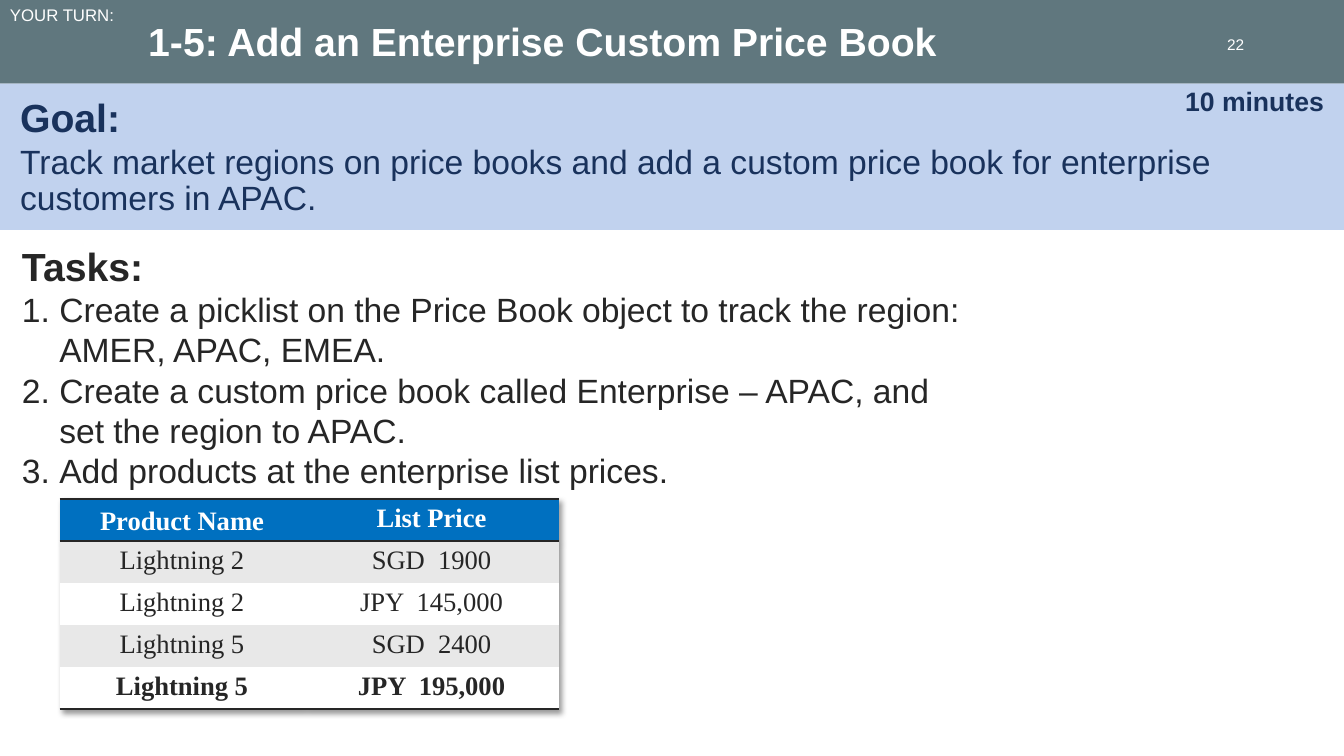
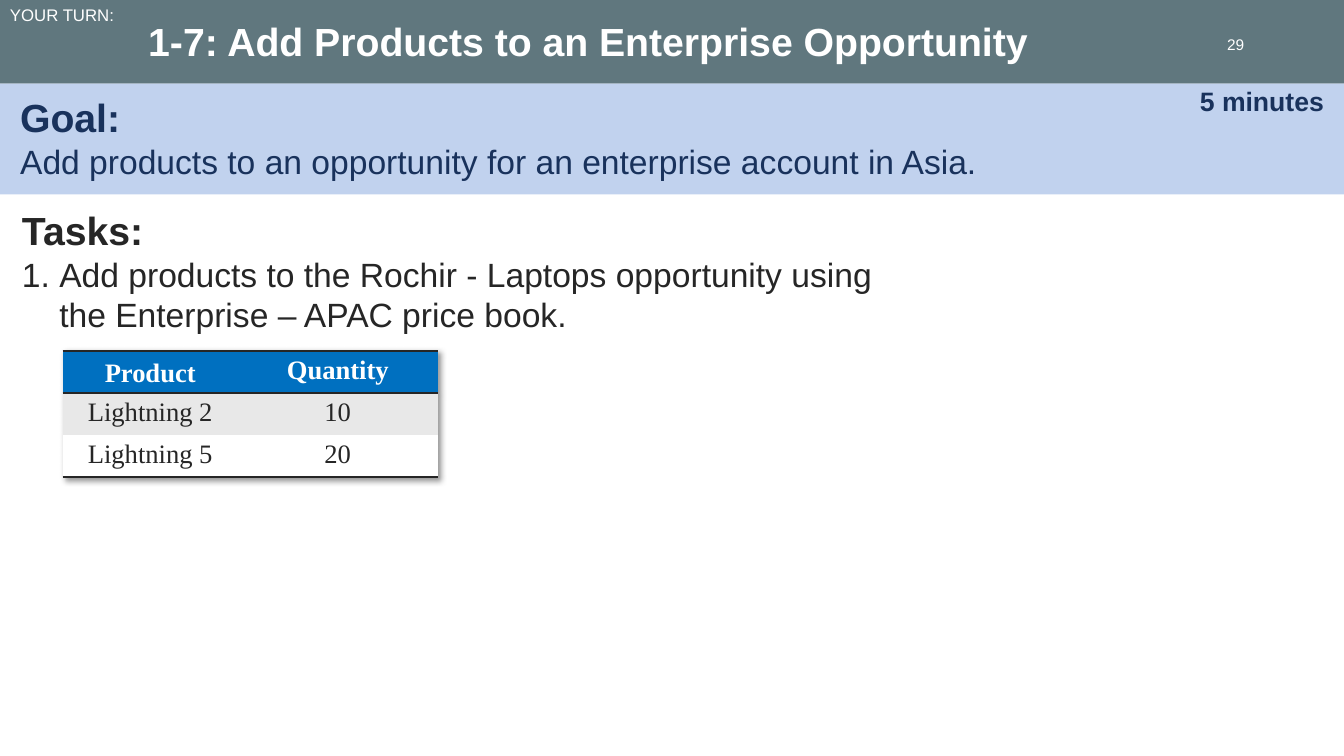
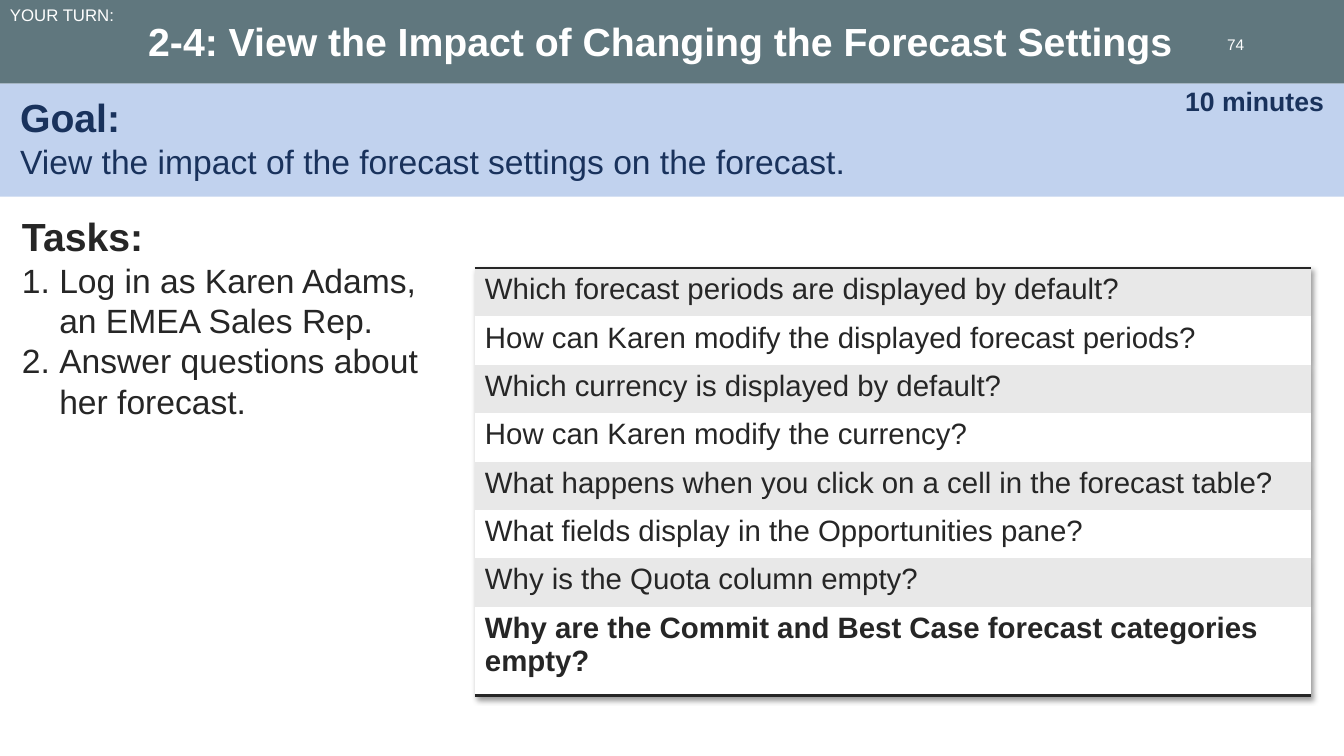
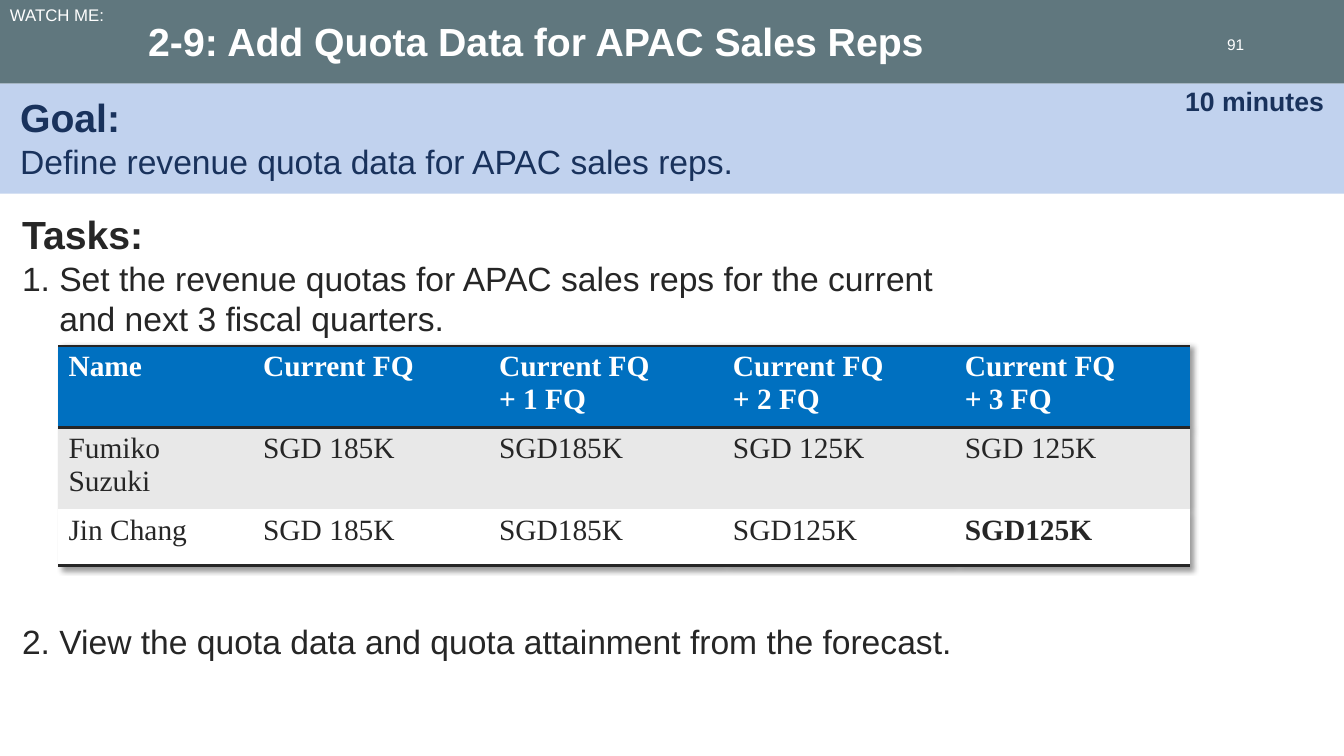
from dataclasses import dataclass, field

from lxml.etree import SubElement
from pptx import Presentation
from pptx.dml.color import RGBColor
from pptx.enum.shapes import MSO_SHAPE
from pptx.enum.text import MSO_ANCHOR, PP_ALIGN
from pptx.oxml import parse_xml
from pptx.oxml.ns import nsdecls, qn
from pptx.util import Inches, Pt

NO_STYLE = "{2D5ABB26-0587-4C30-8999-92F81FD0307C}"


@dataclass(frozen=True)
class Theme:
    """Colours, fonts, type sizes and line spacings of the deck."""

    band: str = "60777E"
    goal_fill: str = "C1D2EE"
    navy: str = "19325C"
    ink: str = "262626"
    white: str = "FFFFFF"
    stripe: str = "E8E8E8"
    header: str = "0070C0"
    sans: str = "Arial"
    serif: str = "Times New Roman"
    heading: float = 28
    body: float = 24
    large_cell: float = 21
    small_cell: float = 19
    label: float = 12
    number: float = 11
    rule: float = 2
    goal_spacing: float = 0.9
    title_spacing: float = 0.85


THEME = Theme()


@dataclass(frozen=True)
class TextStyle:
    """Look of one run of text."""

    size: float
    color: str
    bold: bool = False
    font: str = THEME.sans


@dataclass(frozen=True)
class Area:
    """Rectangle in inches."""

    left: float
    top: float
    width: float
    height: float

    def lengths(self) -> tuple:
        """Return the rectangle as slide lengths."""
        return tuple(Inches(v) for v in (self.left, self.top, self.width, self.height))


@dataclass(frozen=True)
class Grid:
    """Table of an exercise, with its place and style."""

    left: float
    top: float
    widths: tuple
    heights: tuple
    rows: tuple
    size: float
    font: str = THEME.serif
    align: PP_ALIGN = PP_ALIGN.LEFT
    has_header: bool = True
    bold_cells: tuple = ()
    low_cells: tuple = ()


@dataclass(frozen=True)
class Exercise:
    """Content of one exercise slide."""

    label: str
    title: str
    number: str
    minutes: str
    goal: str
    goal_height: float
    tasks_top: float
    tasks_width: float
    tasks: tuple
    grid: Grid
    gaps: dict = field(default_factory=dict)


BAND = Area(0, 0, 13.33, 0.83)
TITLE = Area(1.37, 0, 10.51, 0.83)
LABEL = Area(0, 0, 1.31, 0.34)
NUMBER = Area(11.91, 0.33, 0.53, 0.22)
MINUTES = Area(6.77, 0.83, 6.56, 0.35)
TASKS_LEFT, TASKS_BOTTOM, TASK_INDENT = 0.12, 7.43, 0.37

EXERCISES = (
    Exercise(
        "YOUR TURN:", "1-5: Add an Enterprise Custom Price Book", "22", "10 minutes",
        "Track market regions on price books and add a custom price book for "
        "enterprise customers in APAC.",
        1.45, 2.35, 9.7,
        (
            "Create a picklist on the Price Book object to track the region: AMER, APAC, EMEA.",
            "Create a custom price book called Enterprise – APAC, and set the region to APAC.",
            "Add products at the enterprise list prices.",
        ),
        Grid(
            0.59, 4.95, (2.43, 2.52), (0.41,) * 5,
            (
                ("Product Name", "List Price"),
                ("Lightning 2", "SGD  1900"),
                ("Lightning 2", "JPY  145,000"),
                ("Lightning 5", "SGD  2400"),
                ("Lightning 5", "JPY  195,000"),
            ),
            THEME.small_cell, align=PP_ALIGN.CENTER,
            bold_cells=((4, 0), (4, 1)), low_cells=((0, 0),),
        ),
    ),
    Exercise(
        "YOUR TURN:", "1-7: Add Products to an Enterprise Opportunity", "29", "5 minutes",
        "Add products to an opportunity for an enterprise account in Asia.",
        1.1, 2, 8.94,
        (
            "Add products to the Rochir - Laptops opportunity using the "
            "Enterprise – APAC price book.",
        ),
        Grid(
            0.62, 3.48, (1.74, 1.98), (0.41,) * 3,
            (("Product", "Quantity"), ("Lightning 2", "10"), ("Lightning 5", "20")),
            THEME.small_cell, align=PP_ALIGN.CENTER, low_cells=((0, 0),),
        ),
    ),
    Exercise(
        "YOUR TURN:", "2-4: View the Impact of Changing the Forecast Settings", "74", "10 minutes",
        "View the impact of the forecast settings on the forecast.",
        1.12, 2.06, 4.3,
        (
            "Log in as Karen Adams, an EMEA Sales Rep.",
            "Answer questions about her forecast.",
        ),
        Grid(
            4.71, 2.66, (8.29,), (0.48,) * 7 + (0.88,),
            (
                ("Which forecast periods are displayed by default?",),
                ("How can Karen modify the displayed forecast periods?",),
                ("Which currency is displayed by default?",),
                ("How can Karen modify the currency?",),
                ("What happens when you click on a cell in the forecast table?",),
                ("What fields display in the Opportunities pane?",),
                ("Why is the Quota column empty?",),
                ("Why are the Commit and Best Case forecast categories empty?",),
            ),
            THEME.large_cell, font=THEME.sans, has_header=False, bold_cells=((7, 0),),
        ),
    ),
    Exercise(
        "WATCH ME:", "2-9: Add Quota Data for APAC Sales Reps", "91", "10 minutes",
        "Define revenue quota data for APAC sales reps.",
        1.09, 2.04, 9.61,
        (
            "Set the revenue quotas for APAC sales reps for the current and next 3 fiscal quarters.",
            "View the quota data and quota attainment from the forecast.",
        ),
        Grid(
            0.58, 3.43, (1.93, 2.34, 2.32, 2.3, 2.33), (0.81, 0.81, 0.56),
            (
                ("Name", "Current FQ", "Current FQ \n+ 1 FQ", "Current FQ \n+ 2 FQ",
                 "Current FQ \n+ 3 FQ"),
                ("Fumiko Suzuki", "SGD 185K", "SGD185K", "SGD 125K", "SGD 125K"),
                ("Jin Chang", "SGD 185K", "SGD185K", "SGD125K", "SGD125K"),
            ),
            THEME.large_cell, bold_cells=((2, 4),),
        ),
        {2: 202},
    ),
)


def paint(shape, color: str) -> None:
    """Fill a shape with a plain colour, without line or shadow."""
    shape.shadow.inherit = False
    shape.fill.solid()
    shape.fill.fore_color.rgb = RGBColor.from_string(color)
    shape.line.fill.background()


def write(para, text: str, style: TextStyle, align: PP_ALIGN = PP_ALIGN.LEFT,
          spacing: float = 1.0, before: float = 0) -> None:
    """Write styled text into a paragraph, with a line break at each newline."""
    para.alignment = align
    para.line_spacing = spacing
    para.space_before = Pt(before)
    for index, line in enumerate(text.split("\n")):
        if index:
            para.add_line_break()
        span = para.add_run()
        span.text = line
        span.font.name = style.font
        span.font.size = Pt(style.size)
        span.font.bold = style.bold
        span.font.color.rgb = RGBColor.from_string(style.color)


def set_frame(frame, insets: tuple, anchor: MSO_ANCHOR = MSO_ANCHOR.TOP) -> None:
    """Set wrapping, insets and anchor of a text frame."""
    frame.word_wrap = True
    frame.vertical_anchor = anchor
    (frame.margin_left, frame.margin_top,
     frame.margin_right, frame.margin_bottom) = (Inches(v) for v in insets)


def add_text(page, area: Area, insets: tuple, anchor: MSO_ANCHOR = MSO_ANCHOR.TOP):
    """Add an empty text box and return its frame."""
    frame = page.shapes.add_textbox(*area.lengths()).text_frame
    set_frame(frame, insets, anchor)
    return frame


def move_band_to_layout(page, layout) -> None:
    """Draw the title band and place it behind everything on the layout."""
    band = page.shapes.add_shape(MSO_SHAPE.RECTANGLE, *BAND.lengths())
    paint(band, THEME.band)
    layout.shapes.element.insert(2, band.element)


def add_title(page, text: str) -> None:
    """Place and fill the title placeholder."""
    title = page.shapes.title
    title.left, title.top, title.width, title.height = TITLE.lengths()
    set_frame(title.text_frame, (0.1, 0.1, 0.1, 0.05), MSO_ANCHOR.MIDDLE)
    write(title.text_frame.paragraphs[0], text,
          TextStyle(THEME.heading, THEME.white, True), spacing=THEME.title_spacing)


def add_goal(page, exercise: Exercise) -> None:
    """Add the goal panel with its time allowance."""
    area = Area(0, BAND.height, BAND.width, exercise.goal_height)
    panel = page.shapes.add_shape(MSO_SHAPE.RECTANGLE, *area.lengths())
    paint(panel, THEME.goal_fill)
    frame = panel.text_frame
    set_frame(frame, (0.2, 0.1, 0.2, 0.1))
    write(frame.paragraphs[0], "Goal:", TextStyle(THEME.heading, THEME.navy, True))
    write(frame.add_paragraph(), exercise.goal, TextStyle(THEME.body, THEME.navy),
          spacing=THEME.goal_spacing, before=3)
    minutes = add_text(page, MINUTES, (0.1, 0.03, 0.2, 0.03), MSO_ANCHOR.MIDDLE)
    write(minutes.paragraphs[0], exercise.minutes,
          TextStyle(THEME.small_cell, THEME.navy, True), PP_ALIGN.RIGHT)


def number_paragraph(para, number: int) -> None:
    """Give a paragraph a hanging automatic number."""
    properties = para._p.get_or_add_pPr()
    properties.set("marL", str(Inches(TASK_INDENT)))
    properties.set("indent", str(-Inches(TASK_INDENT)))
    SubElement(properties, qn("a:buFont"), typeface="+mj-lt")
    SubElement(properties, qn("a:buAutoNum"), type="arabicPeriod", startAt=str(number))


def add_tasks(page, exercise: Exercise) -> None:
    """Add the numbered task list."""
    area = Area(TASKS_LEFT, exercise.tasks_top, exercise.tasks_width,
                TASKS_BOTTOM - exercise.tasks_top)
    frame = add_text(page, area, (0.1, 0.05, 0.1, 0.05))
    write(frame.paragraphs[0], "Tasks:", TextStyle(THEME.heading, THEME.ink, True))
    for number, task in enumerate(exercise.tasks, 1):
        para = frame.add_paragraph()
        write(para, task, TextStyle(THEME.body, THEME.ink),
              before=exercise.gaps.get(number, 0))
        number_paragraph(para, number)


def rule_cell(cell, sides: list) -> None:
    """Draw dark rules on the given sides of a cell."""
    properties = cell._tc.get_or_add_tcPr()
    for index, side in enumerate(sides):
        properties.insert(index, parse_xml(
            f'<a:{side} {nsdecls("a")} w="{Pt(THEME.rule)}"><a:solidFill>'
            f'<a:srgbClr val="{THEME.ink}"/></a:solidFill></a:{side}>'))


def style_table(table) -> None:
    """Remove the default table style and add a soft shadow."""
    table.first_row = table.horz_banding = False
    properties = table._tbl.tblPr
    properties.find(qn("a:tableStyleId")).text = NO_STYLE
    properties.insert(0, parse_xml(
        f'<a:effectLst {nsdecls("a")}><a:outerShdw blurRad="50800" dist="38100" '
        'dir="2700000" algn="tl" rotWithShape="0"><a:srgbClr val="000000">'
        '<a:alpha val="40000"/></a:srgbClr></a:outerShdw></a:effectLst>'))


def fill_cell(cell, grid: Grid, row: int, column: int) -> None:
    """Fill, rule and write one table cell."""
    is_header = grid.has_header and row == 0
    is_striped = row % 2 == int(grid.has_header)
    color = THEME.header if is_header else THEME.stripe if is_striped else THEME.white
    cell.fill.solid()
    cell.fill.fore_color.rgb = RGBColor.from_string(color)
    is_low = (row, column) in grid.low_cells
    cell.vertical_anchor = MSO_ANCHOR.BOTTOM if is_low else MSO_ANCHOR.TOP
    cell.margin_left = cell.margin_right = Inches(0.1)
    cell.margin_top = cell.margin_bottom = Inches(0.05)
    top = ["lnT"] if row == 0 else []
    bottom = ["lnB"] if is_header or row == len(grid.rows) - 1 else []
    rule_cell(cell, top + bottom)
    style = TextStyle(grid.size, THEME.white if is_header else THEME.ink,
                      is_header or (row, column) in grid.bold_cells, grid.font)
    write(cell.text_frame.paragraphs[0], grid.rows[row][column], style, grid.align)


def add_grid(page, grid: Grid) -> None:
    """Add the table of an exercise."""
    area = Area(grid.left, grid.top, sum(grid.widths), sum(grid.heights))
    table = page.shapes.add_table(len(grid.rows), len(grid.widths), *area.lengths()).table
    style_table(table)
    for column, width in zip(table.columns, grid.widths):
        column.width = Inches(width)
    for row, height in enumerate(grid.heights):
        table.rows[row].height = Inches(height)
        for column in range(len(grid.widths)):
            fill_cell(table.cell(row, column), grid, row, column)


def add_exercise(page, exercise: Exercise) -> None:
    """Build one exercise slide."""
    add_title(page, exercise.title)
    add_tasks(page, exercise)
    add_goal(page, exercise)
    number = add_text(page, NUMBER, (0.1, 0, 0.1, 0), MSO_ANCHOR.MIDDLE)
    write(number.paragraphs[0], exercise.number,
          TextStyle(THEME.number, THEME.white), PP_ALIGN.RIGHT)
    label = add_text(page, LABEL, (0.1, 0.05, 0.1, 0.05))
    write(label.paragraphs[0], exercise.label, TextStyle(THEME.label, THEME.white))
    add_grid(page, exercise.grid)


def main() -> None:
    """Build the deck and save it."""
    deck = Presentation()
    deck.slide_width, deck.slide_height = Inches(13.33), Inches(7.5)
    layout = deck.slide_layouts.get_by_name("Title Only")
    pages = [deck.slides.add_slide(layout) for _ in EXERCISES]
    move_band_to_layout(pages[0], layout)
    for page, exercise in zip(pages, EXERCISES):
        add_exercise(page, exercise)
    deck.save("out.pptx")


if __name__ == "__main__":
    main()
